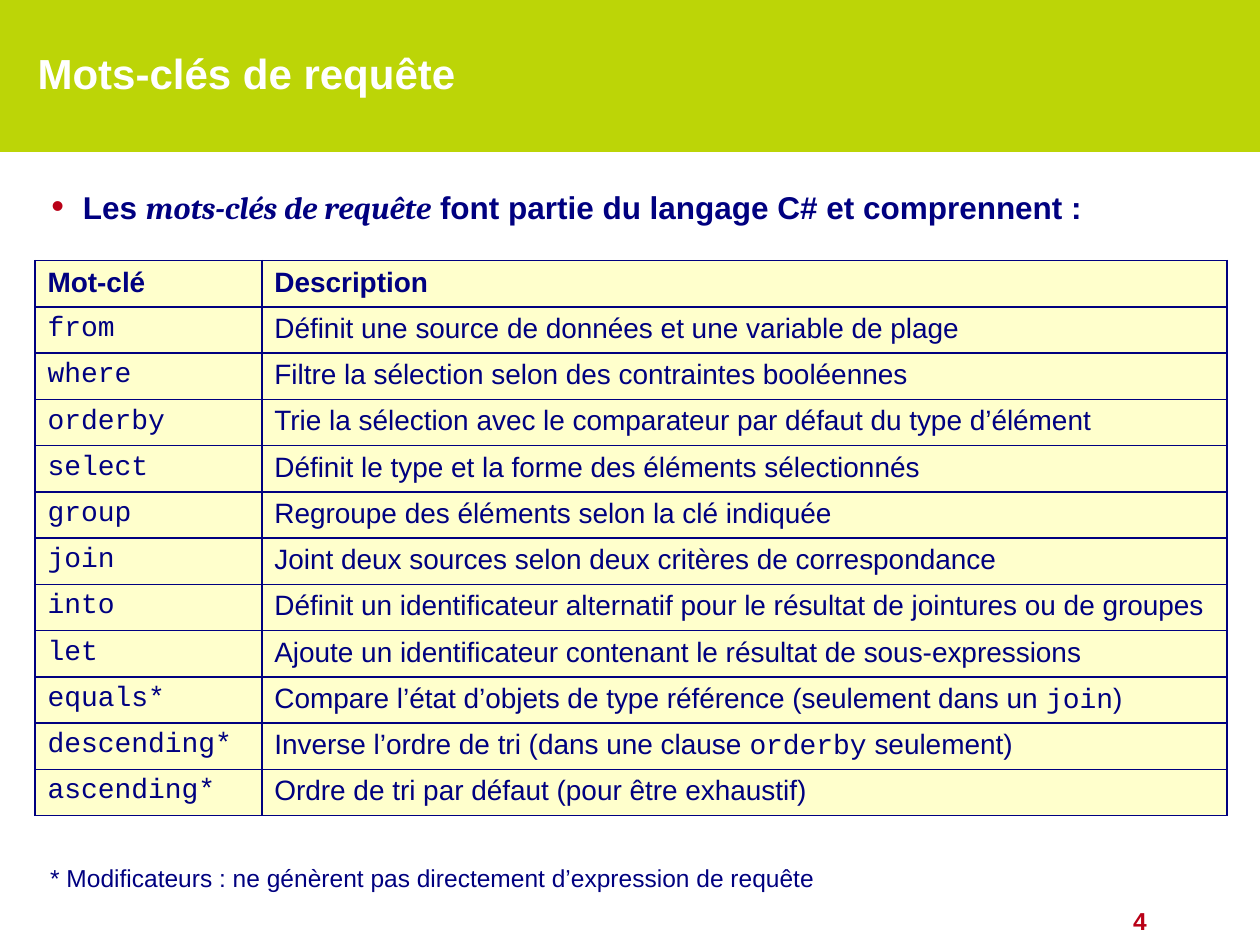
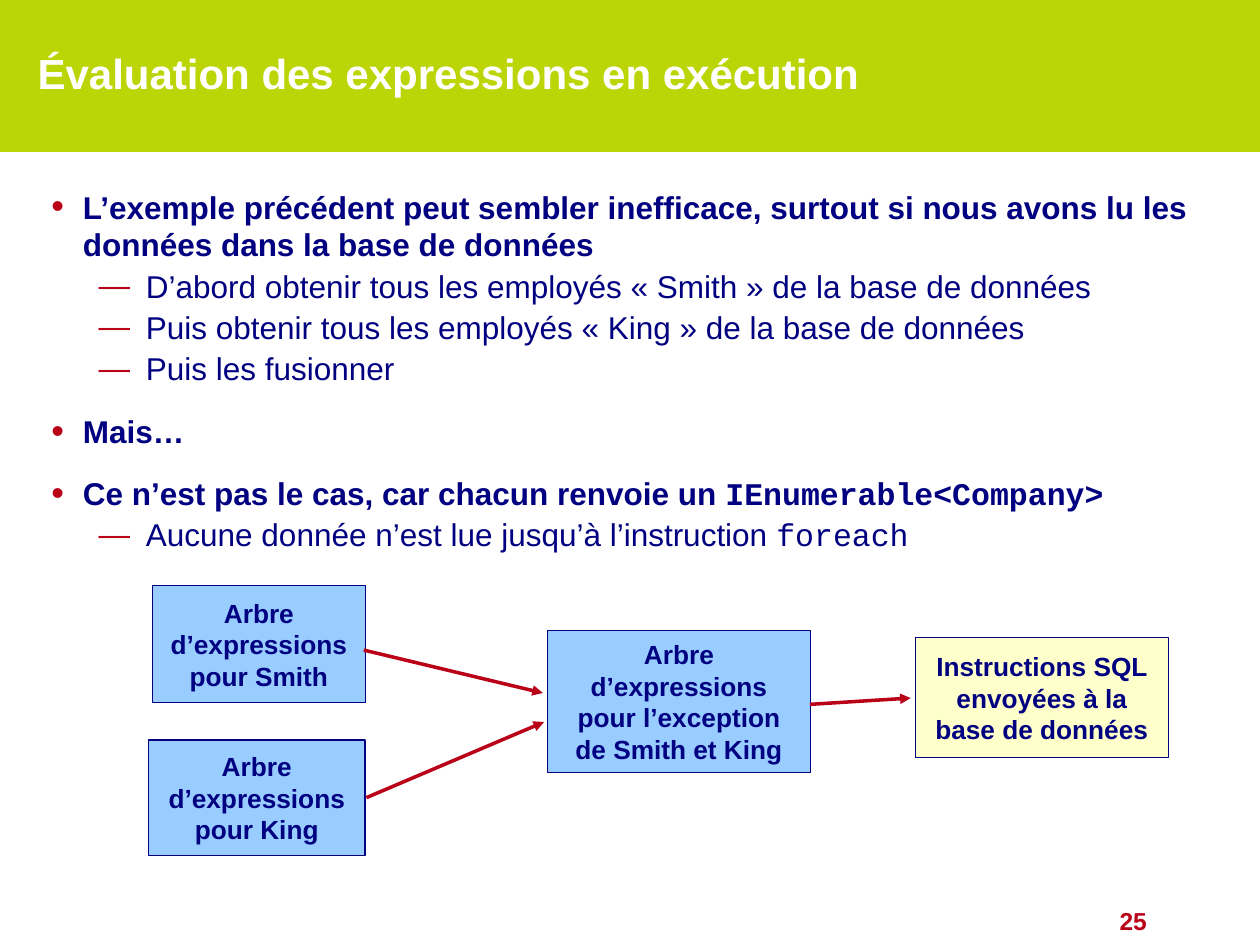
from lxml import etree
from pptx import Presentation
from pptx.dml.color import RGBColor
from pptx.enum.shapes import MSO_CONNECTOR, MSO_SHAPE
from pptx.enum.text import MSO_ANCHOR, MSO_AUTO_SIZE, PP_ALIGN
from pptx.oxml import parse_xml
from pptx.oxml.ns import nsdecls, qn
from pptx.util import Pt

RECT = MSO_SHAPE.RECTANGLE
LINE = MSO_CONNECTOR.STRAIGHT
MIDDLE = MSO_ANCHOR.MIDDLE
TOP = MSO_ANCHOR.TOP
GROW = MSO_AUTO_SIZE.SHAPE_TO_FIT_TEXT
FIXED = MSO_AUTO_SIZE.NONE
LEFT, CENTER, RIGHT = PP_ALIGN.LEFT, PP_ALIGN.CENTER, PP_ALIGN.RIGHT

LIME = RGBColor(0xBC, 0xD5, 0x07)
WHITE = RGBColor(0xFF, 0xFF, 0xFF)
NAVY = RGBColor(0x00, 0x00, 0x80)
RED = RGBColor(0xB9, 0x01, 0x17)
CREAM = RGBColor(0xFF, 0xFF, 0xCC)
SKY = RGBColor(0x99, 0xCC, 0xFF)

SANS = {"name": "Arial"}
CODE = {"name": "Courier New"}
TERM = {"name": "Cambria", "italic": True}
TITLE = {**SANS, "size": Pt(24), "bold": True, "color": WHITE}
PAGE = {**SANS, "size": Pt(14), "bold": True, "color": RED}
NOTE = {**SANS, "size": Pt(14), "bold": False, "color": NAVY}
HEAD = {**SANS, "size": Pt(16), "bold": True, "color": NAVY}
CELL = {**HEAD, "bold": False}
LABEL = {**HEAD, "size": Pt(15)}
POINT = {**HEAD, "size": Pt(18)}
LEVELS = [
    {"mark": "•", "scale": 115, "left": 18, "hang": 18, "gap": 14, "bold": True},
    {"mark": "—", "scale": 100, "left": 54, "hang": 27, "gap": 2, "bold": False},
]

TITLE_BOX = (14.4, 13, 613.4, 56.9)
PAGE_BOX = (548.6, 514, 113.8, 24)
PANEL_BOX = (0, 87, 720, 453)


def place(box):
    return [Pt(n) for n in box]


def add_runs(para, parts, base):
    for part in [parts] if isinstance(parts, str) else parts:
        text, extra = (part, {}) if isinstance(part, str) else part
        run = para.add_run()
        run.text = text
        for key, value in {**base, **extra}.items():
            if key == "color":
                run.font.color.rgb = value
            else:
                setattr(run.font, key, value)


def set_frame(shape, auto=FIXED, anchor=TOP):
    frame = shape.text_frame
    for key, value in {"word_wrap": True, "auto_size": auto,
                       "vertical_anchor": anchor}.items():
        setattr(frame, key, value)
    return frame


def add_text(slide, box, parts, base, align=LEFT, auto=GROW, anchor=TOP):
    frame = set_frame(slide.shapes.add_textbox(*place(box)), auto, anchor)
    para = frame.paragraphs[0]
    para.alignment = align
    add_runs(para, parts, base)
    return para


def add_rect(slide, box, fill, edge=None):
    shape = slide.shapes.add_shape(RECT, *place(box))
    shape.shadow.inherit = False
    shape.fill.solid()
    shape.fill.fore_color.rgb = fill
    if edge is None:
        shape.line.fill.background()
    else:
        shape.line.color.rgb = edge
        shape.line.width = Pt(0.75)
    return shape


def add_shade(run):
    fill = run.font._element.find(qn("a:solidFill"))
    fill.addnext(parse_xml(
        f'<a:effectLst {nsdecls("a")}><a:outerShdw dist="35921" dir="2700000">'
        '<a:srgbClr val="000000"/></a:outerShdw></a:effectLst>'))


def start_slide(deck, title, page):
    slide = deck.slides.add_slide(deck.slide_layouts[6])
    back = slide.background.fill
    back.solid()
    back.fore_color.rgb = LIME
    add_rect(slide, PANEL_BOX, WHITE)
    add_text(slide, PAGE_BOX, page, PAGE, RIGHT)
    para = add_text(slide, TITLE_BOX, title, TITLE, auto=FIXED, anchor=MIDDLE)
    add_shade(para.runs[0])
    return slide


def set_mark(para, mark, scale, left, hang):
    props = para._p.get_or_add_pPr()
    props.set("marL", str(Pt(left)))
    props.set("indent", str(-Pt(hang)))
    color = etree.SubElement(props, qn("a:buClr"))
    etree.SubElement(color, qn("a:srgbClr"), val=str(RED))
    etree.SubElement(props, qn("a:buSzPct"), val=str(scale * 1000))
    etree.SubElement(props, qn("a:buFont"), typeface="Arial")
    etree.SubElement(props, qn("a:buChar"), char=mark)


def add_points(slide, box, points):
    frame = set_frame(slide.shapes.add_textbox(*place(box)), GROW)
    for i, (depth, parts) in enumerate(points):
        para = frame.add_paragraph() if i else frame.paragraphs[0]
        level = LEVELS[depth]
        para.level = depth
        para.space_before = Pt(level["gap"])
        set_mark(para, *(level[key] for key in ("mark", "scale", "left", "hang")))
        add_runs(para, parts, {**POINT, "bold": level["bold"]})


def set_edges(cell):
    props = cell._tc.get_or_add_tcPr()
    for i, side in enumerate("LRTB"):
        props.insert(i, parse_xml(
            f'<a:ln{side} {nsdecls("a")} w="{Pt(1)}"><a:solidFill>'
            f'<a:srgbClr val="{NAVY}"/></a:solidFill></a:ln{side}>'))


def add_grid(slide, box, widths, rows):
    table = slide.shapes.add_table(len(rows), len(widths), *place(box)).table
    table.first_row = table.horz_banding = False
    for col, width in zip(table.columns, widths):
        col.width = Pt(width)
    for r, row in enumerate(rows):
        for c, parts in enumerate(row):
            cell = table.cell(r, c)
            cell.fill.solid()
            cell.fill.fore_color.rgb = CREAM
            set_edges(cell)
            base = HEAD if r == 0 else {**CELL, **(SANS if c else CODE)}
            add_runs(cell.text_frame.paragraphs[0], parts, base)


def add_node(slide, box, text, fill):
    frame = set_frame(add_rect(slide, box, fill, NAVY), anchor=MIDDLE)
    para = frame.paragraphs[0]
    para.alignment = CENTER
    add_runs(para, text, LABEL)


def add_arrow(slide, ends):
    link = slide.shapes.add_connector(LINE, *place(ends))
    link.line.color.rgb = RED
    link.line.width = Pt(2)
    props = link._element.spPr
    etree.SubElement(props.find(qn("a:ln")), qn("a:tailEnd"), type="triangle")
    etree.SubElement(props, qn("a:effectLst"))


def add_flow(slide, box, nodes, links):
    x, y = box[:2]
    for (left, top, width, height), text, fill in nodes:
        add_node(slide, (x + left, y + top, width, height), text, fill)
    for x1, y1, x2, y2 in links:
        add_arrow(slide, (x + x1, y + y1, x + x2, y + y2))


WORDS = [
    ("Mot-clé", "Description"),
    ("from", "Définit une source de données et une variable de plage"),
    ("where", "Filtre la sélection selon des contraintes booléennes"),
    ("orderby", "Trie la sélection avec le comparateur par défaut du type d’élément"),
    ("select", "Définit le type et la forme des éléments sélectionnés"),
    ("group", "Regroupe des éléments selon la clé indiquée"),
    ("join", "Joint deux sources selon deux critères de correspondance"),
    ("into", "Définit un identificateur alternatif pour le résultat de jointures ou de groupes"),
    ("let", "Ajoute un identificateur contenant le résultat de sous-expressions"),
    ("equals*", ["Compare l’état d’objets de type référence (seulement dans un ",
                 ("join", CODE), ")"]),
    ("descending*", ["Inverse l’ordre de tri (dans une clause ",
                     ("orderby", CODE), " seulement)"]),
    ("ascending*", "Ordre de tri par défaut (pour être exhaustif)"),
]
INTRO = [(0, ["Les ", ("mots-clés de requête", TERM),
              " font partie du langage C# et comprennent :"])]
POINTS = [
    (0, "L’exemple précédent peut sembler inefficace, surtout si nous avons lu "
        "les données dans la base de données"),
    (1, "D’abord obtenir tous les employés «\u00a0Smith\u00a0» de la base de données"),
    (1, "Puis obtenir tous les employés «\u00a0King\u00a0» de la base de données"),
    (1, "Puis les fusionner"),
    (0, "Mais…"),
    (0, ["Ce n’est pas le cas, car chacun renvoie un ",
         ("IEnumerable<Company>", CODE)]),
    (1, ["Aucune donnée n’est lue jusqu’à l’instruction ", ("foreach", CODE)]),
]
NODES = [
    ((2.2, 0, 121.9, 66.5), "Arbre d’expressions pour Smith", SKY),
    ((0, 88, 123.8, 66.2), "Arbre d’expressions pour King", SKY),
    ((228.2, 25.7, 150, 80.8),
     "Arbre d’expressions pour l’exception de Smith et King", SKY),
    ((438.2, 29.6, 144.6, 68.4),
     "Instructions SQL envoyées à la base de données", CREAM),
]
LINKS = [
    (123.1, 36.7, 225.4, 61.2),
    (124.6, 121, 226.1, 77.8),
    (378, 67.7, 435.6, 64.1),
]


def add_words(deck):
    slide = start_slide(deck, "Mots-clés de requête", "4")
    add_points(slide, (22.3, 103.7, 673.2, 28.8), INTRO)
    add_grid(slide, (20, 149, 681.1, 303.6), (129.6, 551.5), WORDS)
    add_text(slide, (21.6, 489.6, 479.5, 24.5),
             "* Modificateurs : ne génèrent pas directement d’expression de requête",
             NOTE)


def add_steps(deck):
    slide = start_slide(deck, "Évaluation des expressions en exécution", "25")
    add_points(slide, (22.3, 103.7, 682.6, 218.2), POINTS)
    add_flow(slide, (84.8, 334.8, 582.8, 154.2), NODES, LINKS)


deck = Presentation()
deck.slide_width, deck.slide_height = Pt(720), Pt(540)
add_words(deck)
add_steps(deck)
deck.save("out.pptx")
